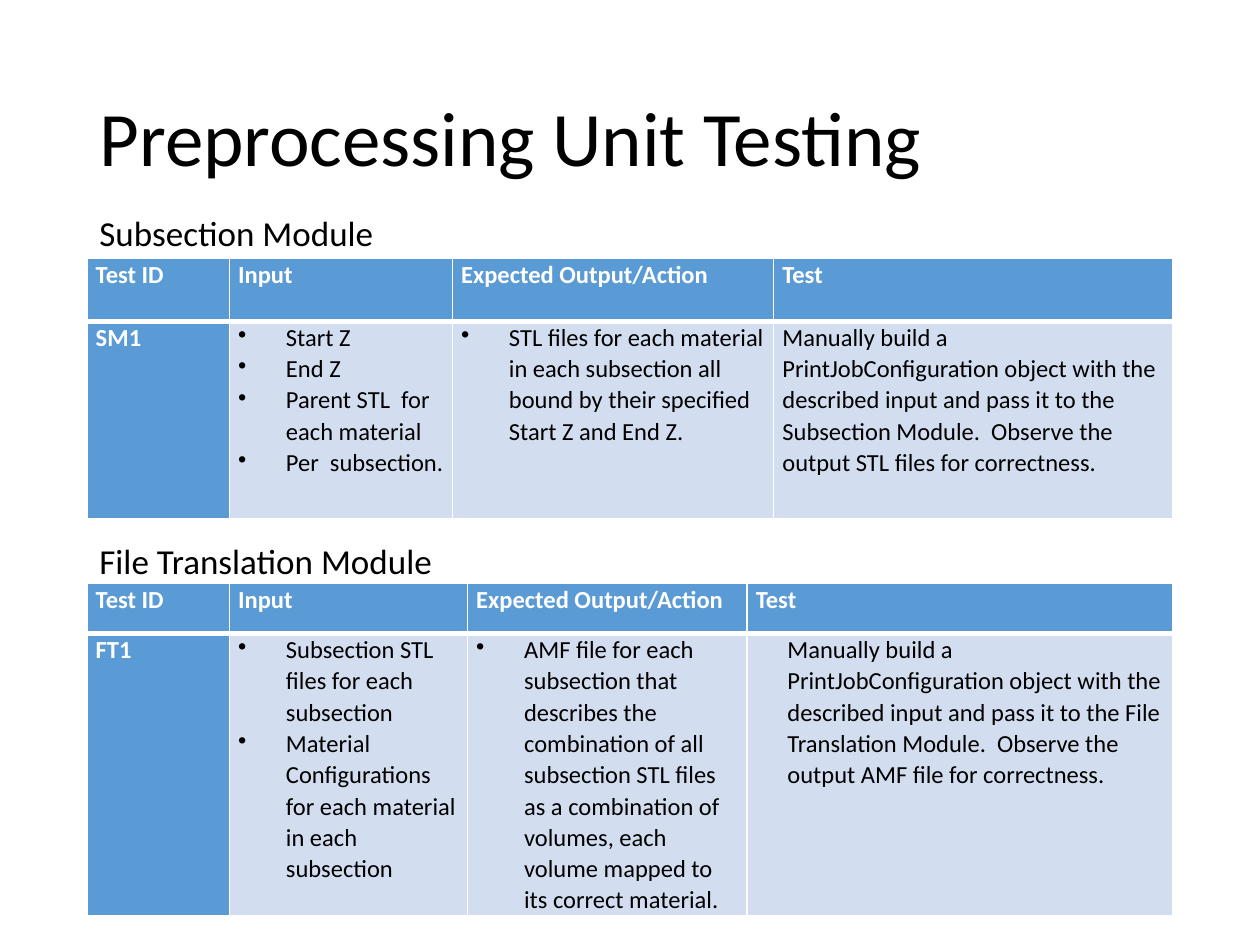
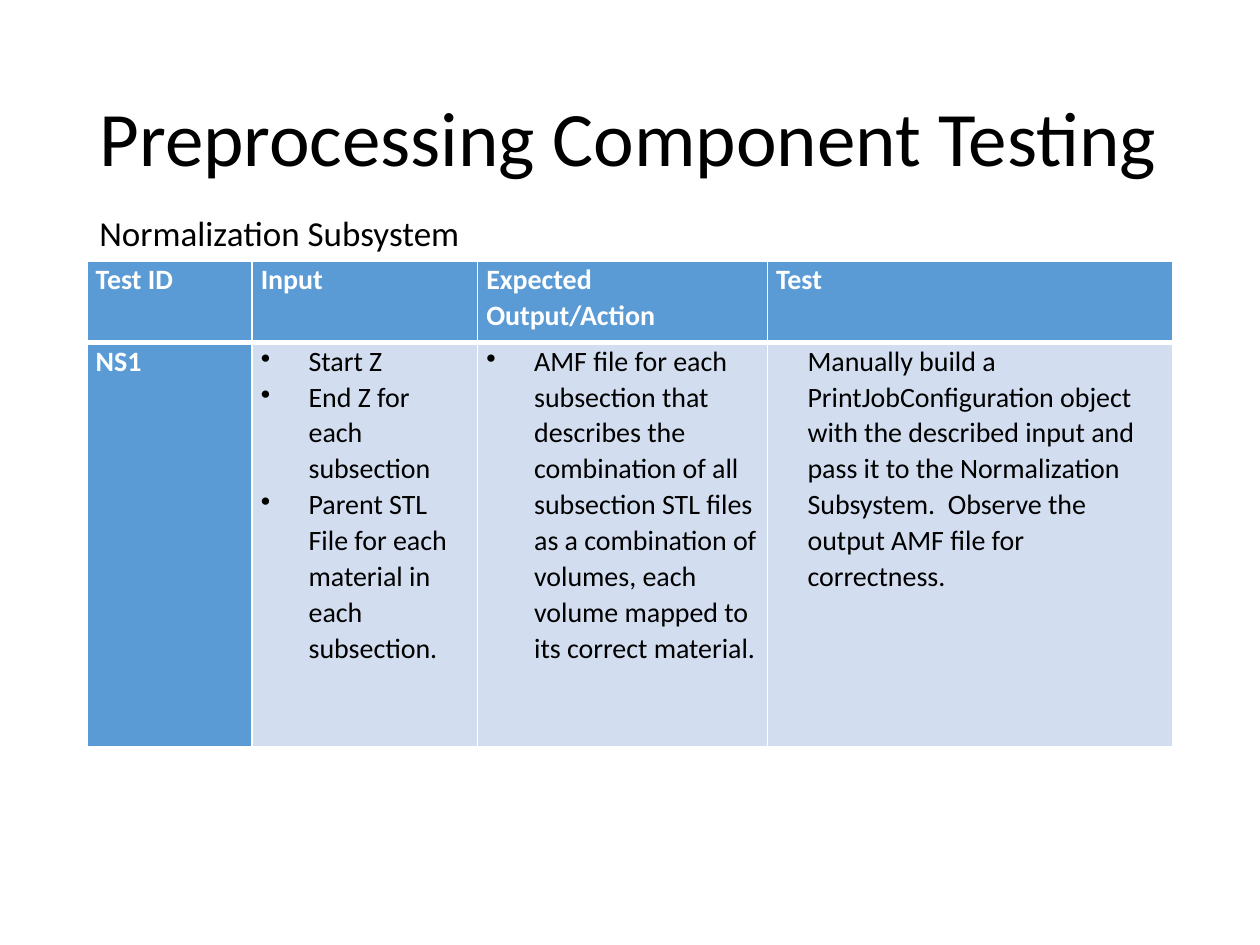
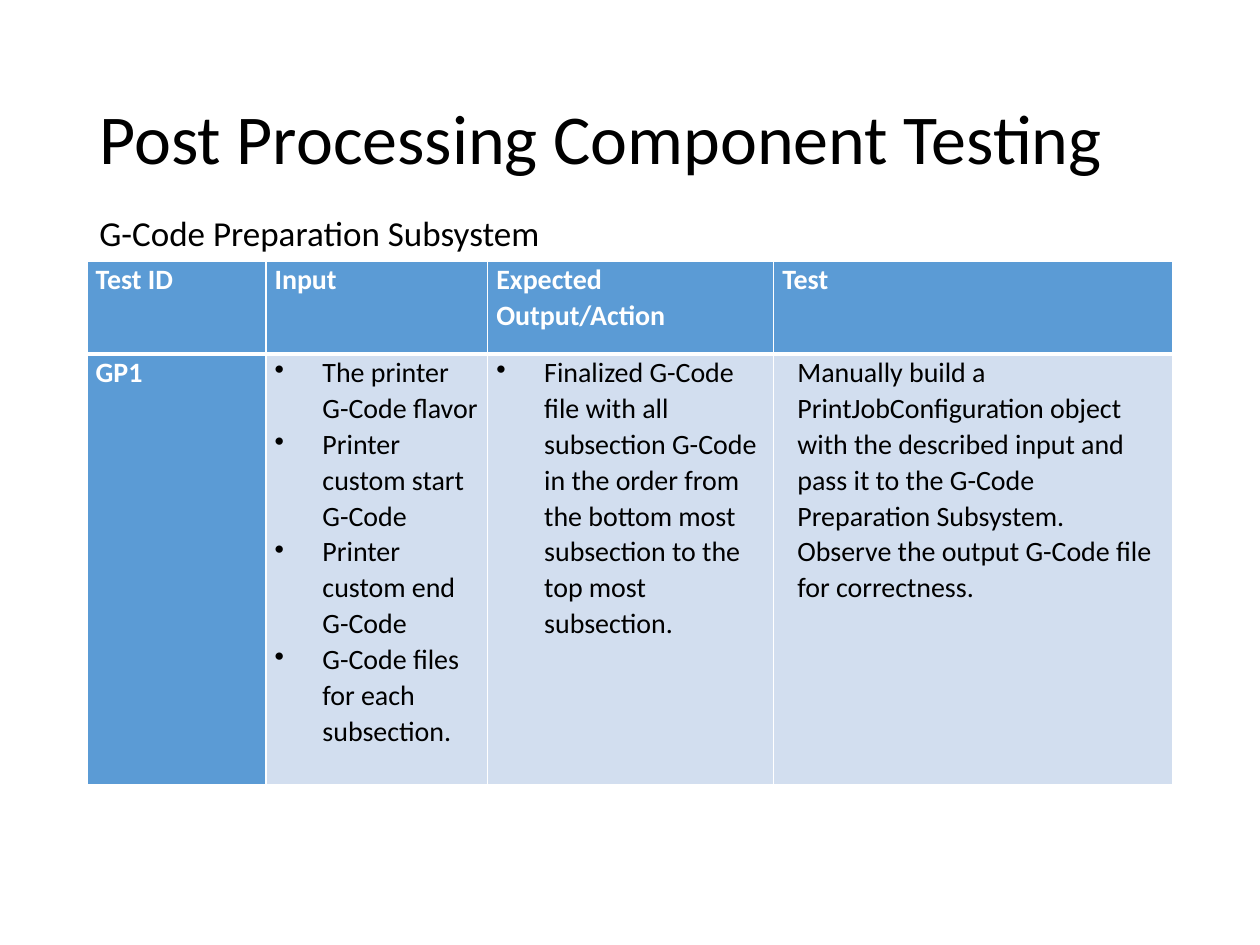
import pptx
import pptx.dml.color
import pptx.enum.text
import pptx.oxml
import pptx.oxml.ns
import pptx.util

COLORS = {"ink": "000000", "paper": "FFFFFF", "header": "5B9BD5", "body": "D2DEEF"}
FONT = "Calibri"
GRID_COLUMNS, GRID_ROWS = 100, 75
LEFT, WIDTH = 6.9, 86.2
HEADINGS = ["Test ID", "Input", "Expected Output/Action", "Test"]
ALIGN = pptx.enum.text.PP_ALIGN
AUTO_SIZE = pptx.enum.text.MSO_AUTO_SIZE
ANCHOR = pptx.enum.text.MSO_ANCHOR


def rgb(name):
    return pptx.dml.color.RGBColor.from_string(COLORS[name])


def write(frame, text, size, color="ink", bold=False, align=ALIGN.LEFT,
          spacing=None, bullet=False, indent=0):
    lines = [text] if isinstance(text, str) else text
    for index, line in enumerate(lines):
        paragraph = frame.add_paragraph() if index else frame.paragraphs[0]
        paragraph.alignment = align
        if spacing:
            paragraph.line_spacing = spacing
        properties = paragraph._p.get_or_add_pPr()
        if indent:
            margin = pptx.util.Inches(indent)
            properties.set("marL", str(margin))
            properties.set("indent", str(-margin if bullet else 0))
        if bullet:
            mark = pptx.oxml.parse_xml(
                f'<a:buChar {pptx.oxml.ns.nsdecls("a")} char="•"/>')
            properties.append(mark)
        run = paragraph.add_run()
        run.text = line
        run.font.name = FONT
        run.font.size = pptx.util.Pt(size)
        run.font.bold = bold
        run.font.color.rgb = rgb(color)


class Deck:
    def __init__(self):
        self.presentation = pptx.Presentation()
        self.presentation.slide_width = pptx.util.Inches(10)
        self.presentation.slide_height = pptx.util.Inches(7.5)
        self.slide = None

    def across(self, columns):
        return round(self.presentation.slide_width * columns / GRID_COLUMNS)

    def down(self, rows):
        return round(self.presentation.slide_height * rows / GRID_ROWS)

    def box(self, top, height):
        return self.across(LEFT), self.down(top), self.across(WIDTH), self.down(height)

    def add_slide(self, title, size=44):
        layout = self.presentation.slide_layouts.get_by_name("Title Only")
        self.slide = self.presentation.slides.add_slide(layout)
        shape = self.slide.shapes.title
        shape.left, shape.top, shape.width, shape.height = self.box(4, 14.5)
        frame = shape.text_frame
        frame.word_wrap = True
        frame.auto_size = AUTO_SIZE.NONE
        frame.vertical_anchor = ANCHOR.MIDDLE
        write(frame, title, size, spacing=0.9)

    def caption(self, text, top):
        frame = self.slide.shapes.add_textbox(*self.box(top, 4.4)).text_frame
        frame.word_wrap = True
        frame.auto_size = AUTO_SIZE.SHAPE_TO_FIT_TEXT
        write(frame, text, 20)

    def borders(self, cell, **widths):
        properties = cell._tc.get_or_add_tcPr()
        for side in "LRTB":
            width = pptx.util.Pt(widths.get(side, 1))
            properties.append(pptx.oxml.parse_xml(
                f'<a:ln{side} {pptx.oxml.ns.nsdecls("a")} w="{width}"><a:solidFill>'
                f'<a:srgbClr val="{COLORS["paper"]}"/></a:solidFill></a:ln{side}>'))

    def cell(self, cell, text, fill, edges, **text_format):
        cell.margin_left = cell.margin_right = pptx.util.Inches(0.07)
        cell.margin_top = cell.margin_bottom = 0
        self.borders(cell, **edges)
        cell.fill.solid()
        cell.fill.fore_color.rgb = rgb(fill)
        write(cell.text_frame, text, spacing=1.05, **text_format)

    def test_table(self, top, columns, rows, size, test_id, inputs, output, test,
                   test_indent=0):
        shape = self.slide.shapes.add_table(2, len(HEADINGS), *self.box(top, sum(rows)))
        table = shape.table
        for column, width in zip(table.columns, columns + [WIDTH - sum(columns)]):
            column.width = self.across(width)
        for row, height in zip(table.rows, rows):
            row.height = self.down(height)

        label = dict(size=size, color="paper", bold=True, align=ALIGN.JUSTIFY)
        bullets = dict(size=size, bullet=True, indent=0.38)
        for index, heading in enumerate(HEADINGS):
            self.cell(table.cell(0, index), heading, "header", {"B": 3}, **label)
        contents = [(test_id, "header", label), (inputs, "body", bullets),
                    (output, "body", bullets),
                    (test, "body", dict(size=size, indent=test_indent))]
        for index, (text, fill, text_format) in enumerate(contents):
            self.cell(table.cell(1, index), text, fill, {"T": 3}, **text_format)


def procedure(target, files):
    return ("Manually build a PrintJobConfiguration object with the described input "
            f"and pass it to the {target}.  Observe the output {files} for correctness.")


AMF_OUTPUT = ("AMF file for each subsection that describes the combination of all "
              "subsection STL files as a combination of volumes, each volume mapped "
              "to its correct material.")

deck = Deck()

deck.add_slide("Preprocessing Unit Testing")
deck.test_table(
    20.5, [11.3, 17.7, 25.5], [5, 15.7], 14, "SM1",
    ["Start Z", "End Z", "Parent STL  for each material", "Per  subsection."],
    "STL files for each material in each subsection all bound by their specified "
    "Start Z and End Z.",
    procedure("Subsection Module", "STL files"))
deck.test_table(
    46.3, [11.3, 18.9, 22.2], [4, 21.9], 14, "FT1",
    ["Subsection STL files for each subsection",
     "Material Configurations for each material in each subsection"],
    AMF_OUTPUT, procedure("File Translation Module", "AMF file"), test_indent=0.25)
deck.caption("Subsection Module", 16.3)
deck.caption("File Translation Module", 42.3)

deck.add_slide("Preprocessing Component Testing")
deck.test_table(
    20.7, [13.1, 17.9, 23], [6.5, 32.1], 16, "NS1",
    ["Start Z", "End Z for each subsection",
     "Parent STL File for each material in each subsection."],
    AMF_OUTPUT, procedure("Normalization Subsystem", "AMF file"), test_indent=0.25)
deck.caption("Normalization Subsystem", 16.3)

deck.add_slide("Post Processing Component Testing", size=40)
deck.test_table(
    20.7, [14.2, 17.6, 22.7], [7.4, 34.2], 16, "GP1",
    ["The printer G-Code flavor", "Printer custom start G-Code",
     "Printer custom end G-Code", "G-Code files for each subsection."],
    "Finalized G-Code file with all subsection G-Code in the order from the bottom "
    "most subsection to the top most subsection.",
    procedure("G-Code Preparation Subsystem", "G-Code file"), test_indent=0.12)
deck.caption("G-Code Preparation Subsystem", 16.3)

deck.presentation.save("out.pptx")
